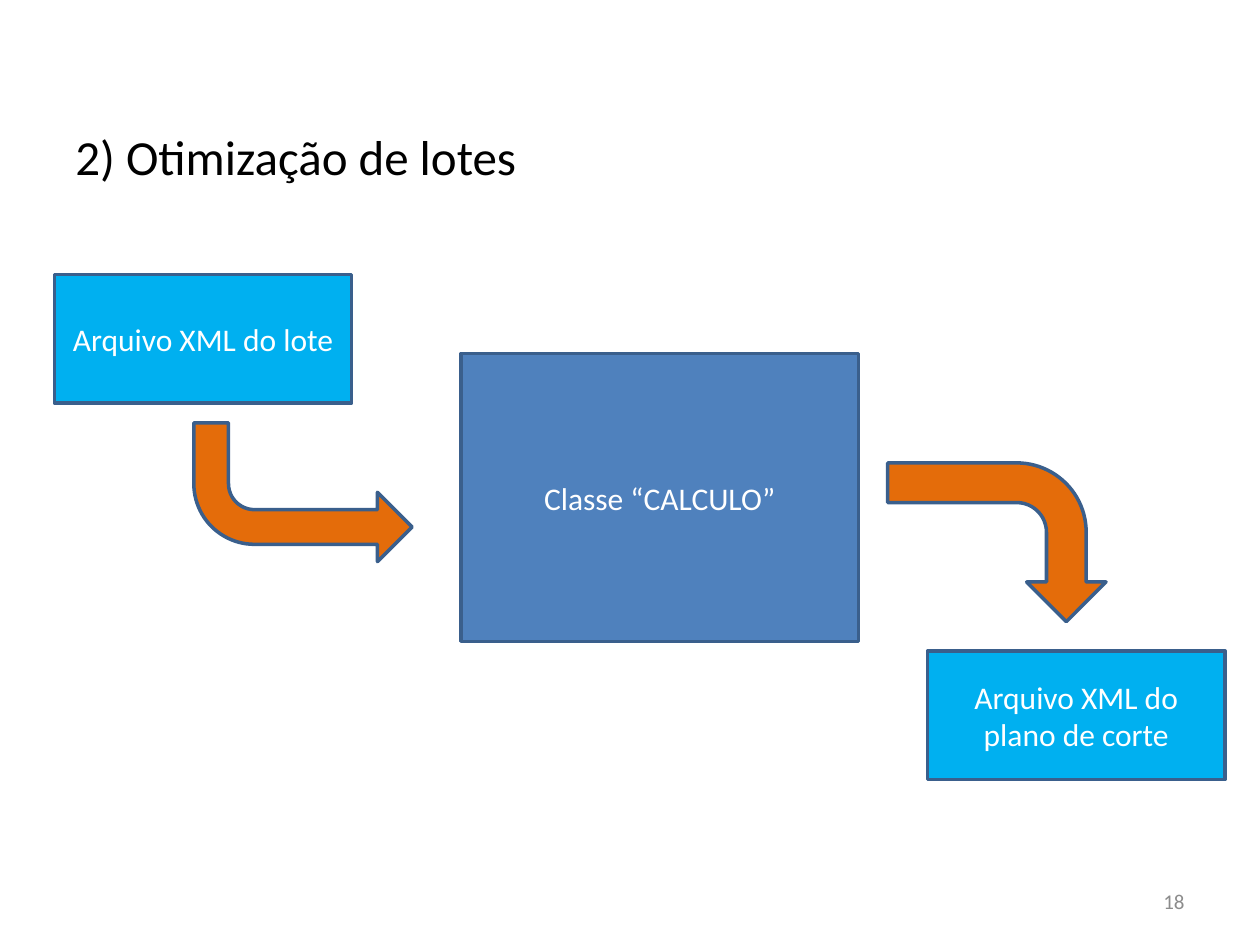
"""Build the slide showing the flow of lot optimisation."""
import pptx
import pptx.util
import pptx.dml.color
import pptx.enum.shapes
import pptx.enum.text

Pt = pptx.util.Pt
RGBColor = pptx.dml.color.RGBColor
MSO_SHAPE = pptx.enum.shapes.MSO_SHAPE
PP_ALIGN = pptx.enum.text.PP_ALIGN

BLACK = RGBColor(0x00, 0x00, 0x00)
WHITE = RGBColor(0xFF, 0xFF, 0xFF)
GRAY = RGBColor(0x8C, 0x8C, 0x8C)
BLUE = RGBColor(0x4F, 0x81, 0xBD)
CYAN = RGBColor(0x00, 0xB0, 0xF0)
ORANGE = RGBColor(0xE4, 0x6C, 0x0A)
OUTLINE = RGBColor(0x3A, 0x5F, 0x8C)


def write(s, text, size, color, align):
    tf = s.text_frame
    tf.word_wrap = True
    tf.vertical_anchor = pptx.enum.text.MSO_ANCHOR.MIDDLE
    p = tf.paragraphs[0]
    p.alignment = align
    r = p.add_run()
    r.text = text
    r.font.name = "Calibri"
    r.font.size = Pt(size)
    r.font.color.rgb = color


def add_filled(kind, box, color):
    s = slide.shapes.add_shape(kind, *map(Pt, box))
    s.shadow.inherit = False
    s.fill.solid()
    s.fill.fore_color.rgb = color
    s.line.color.rgb = OUTLINE
    s.line.width = Pt(2)
    return s


prs = pptx.Presentation()
prs.slide_width, prs.slide_height = Pt(720), Pt(540)
slide = prs.slides.add_slide(prs.slide_layouts[6])

labels = [
    ("2) Otimização de lotes", (36, 44, 684, 90), 28, BLACK, PP_ALIGN.LEFT),
    ("18", (516, 500.5, 168, 28.75), 12, GRAY, PP_ALIGN.RIGHT),
]
for text, box, size, color, align in labels:
    s = slide.shapes.add_textbox(*map(Pt, box))
    write(s, text, size, color, align)

boxes = [
    ("Classe “CALCULO”", (263.5, 202, 227, 164.5), BLUE),
    ("Arquivo XML do lote", (31, 156.75, 170, 73.5), CYAN),
    ("Arquivo XML do plano de corte", (530, 372, 170, 73.5), CYAN),
]
for text, box, color in boxes:
    s = add_filled(MSO_SHAPE.RECTANGLE, box, color)
    write(s, text, 18, WHITE, PP_ALIGN.CENTER)

output_arrow = add_filled(MSO_SHAPE.BENT_ARROW, (524.25, 247.5, 90.75, 124.75), ORANGE)
output_arrow.rotation = 90
input_arrow = add_filled(MSO_SHAPE.BENT_ARROW, (110.75, 241.75, 124.75, 79.25), ORANGE)
input_arrow._element.spPr.xfrm.set("flipV", "1")

prs.save("out.pptx")
